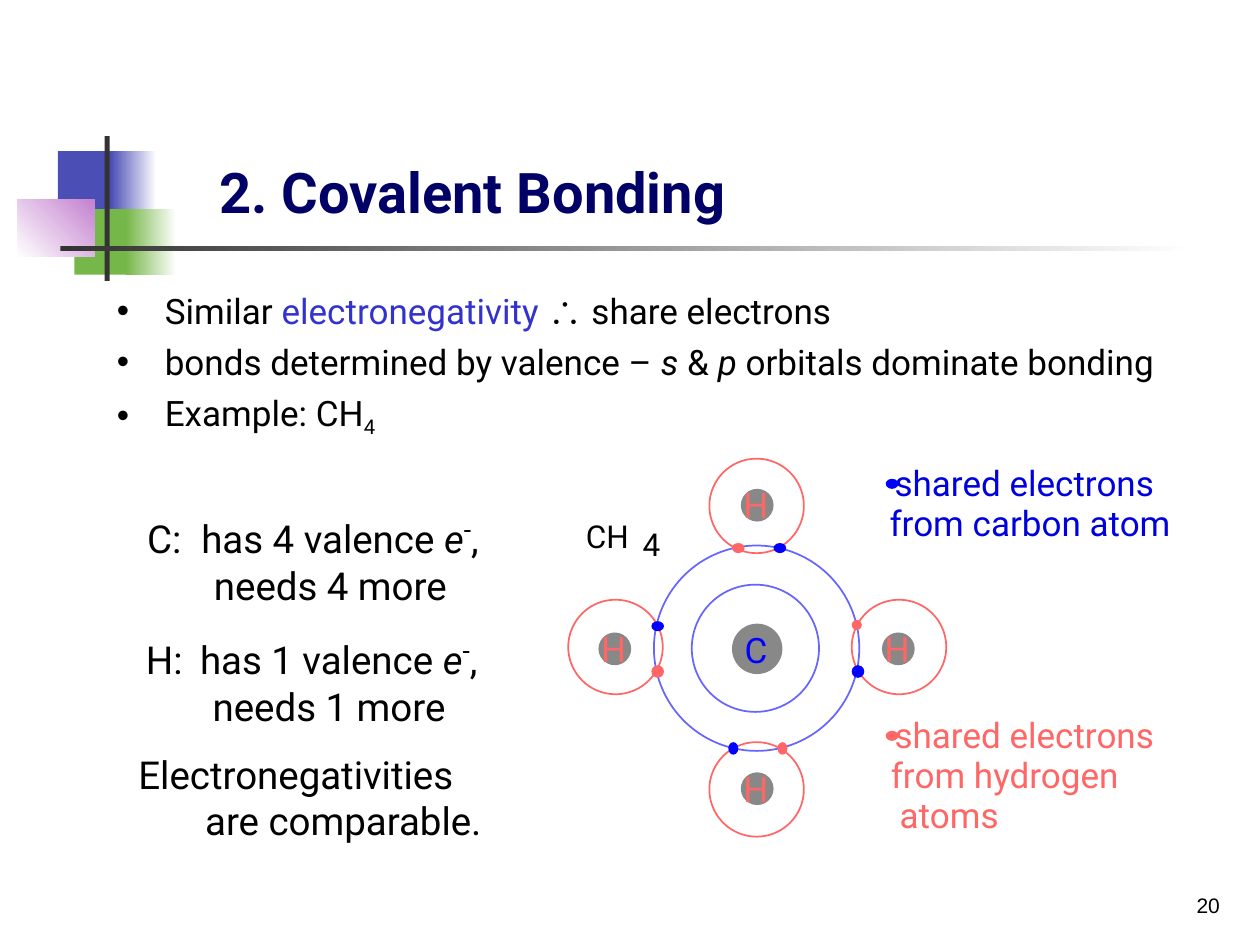
import dataclasses

import pptx
import pptx.dml.color
import pptx.enum.shapes
import pptx.enum.text
import pptx.util
from lxml import etree

EMU_PER_PX = 9144  # 100 px to the inch
DRAWING = "http://schemas.openxmlformats.org/drawingml/2006/main"
ALIGN = pptx.enum.text.PP_ALIGN
ANCHOR = pptx.enum.text.MSO_ANCHOR


def px(length):
    return pptx.util.Emu(length * EMU_PER_PX)


def rgb(color):
    return pptx.dml.color.RGBColor.from_string(color)


def add_xml(parent, tag, **attributes):
    return etree.SubElement(parent, f"{{{DRAWING}}}{tag}", attributes)


@dataclasses.dataclass(frozen=True)
class Theme:
    font: str = "Roboto"
    plain_font: str = "Arial"
    ink: str = "000000"
    white: str = "FFFFFF"
    title: str = "000066"
    term: str = "3333CC"
    bar: str = "333333"
    indigo: str = "4B4EB5"
    green: str = "76B749"
    violet: str = "C481CF"
    nucleus: str = "888888"
    carbon: str = "0000FF"
    carbon_ring: str = "6666FF"
    carbon_label: str = "0000DD"
    hydrogen: str = "FF6666"
    title_size: int = 32
    charge_size: int = 26
    note_size: int = 22
    body_size: int = 20
    formula_size: int = 18
    number_size: int = 12


class SlideBuilder:
    def __init__(self, slide, theme):
        self.slide = slide
        self.theme = theme

    def shape(self, kind, left, top, width, height, fill=None, line=None):
        shape = self.slide.shapes.add_shape(kind, px(left), px(top), px(width), px(height))
        shape.shadow.inherit = False
        if fill:
            shape.fill.solid()
            shape.fill.fore_color.rgb = rgb(fill)
        else:
            shape.fill.background()
        if line:
            shape.line.color.rgb = rgb(line)
            shape.line.width = pptx.util.Pt(1)
        else:
            shape.line.fill.background()
        return shape

    def rectangle(self, *box, fill):
        return self.shape(pptx.enum.shapes.MSO_SHAPE.RECTANGLE, *box, fill=fill)

    def fade(self, *box, start, end, angle=0):
        """Rectangle with a two-colour gradient, angle counter-clockwise."""
        fill = self.rectangle(*box, fill=start).fill
        fill.gradient()
        fill.gradient_angle = angle
        for stop, color in zip(fill.gradient_stops, (start, end)):
            stop.color.rgb = rgb(color)

    def oval(self, *box, fill=None, line=None):
        self.shape(pptx.enum.shapes.MSO_SHAPE.OVAL, *box, fill=fill, line=line)

    def text_frame(self, left, top, width, height, anchor=ANCHOR.TOP):
        box = self.slide.shapes.add_textbox(px(left), px(top), px(width), px(height))
        frame = box.text_frame
        frame.word_wrap = True
        frame.vertical_anchor = anchor
        return frame

    def run(self, paragraph, text, size, color=None, font=None,
            bold=False, italic=False, baseline=0):
        run = paragraph.add_run()
        run.text = text
        run.font.name = font or self.theme.font
        run.font.size = pptx.util.Pt(size)
        run.font.color.rgb = rgb(color or self.theme.ink)
        run.font.bold = bold
        run.font.italic = italic
        if baseline:
            run.font._element.set("baseline", str(baseline * 1000))

    def label(self, text, left, top, width, height, size, color=None):
        """One line of text in a box without margins."""
        frame = self.text_frame(left, top, width, height)
        frame.word_wrap = False
        frame.auto_size = pptx.enum.text.MSO_AUTO_SIZE.SHAPE_TO_FIT_TEXT
        frame.margin_left = frame.margin_right = 0
        frame.margin_top = frame.margin_bottom = 0
        self.run(frame.paragraphs[0], text, size, color)

    def bullets(self, box, items):
        frame = self.text_frame(*box)
        for index, runs in enumerate(items):
            paragraph = frame.add_paragraph() if index else frame.paragraphs[0]
            if index:
                paragraph.space_before = pptx.util.Pt(5)
            properties = paragraph._p.get_or_add_pPr()
            properties.set("marL", str(px(38)))
            properties.set("indent", str(px(-38)))
            add_xml(add_xml(properties, "buClr"), "srgbClr", val=self.theme.ink)
            add_xml(properties, "buFont", typeface=self.theme.plain_font)
            add_xml(properties, "buChar", char="•")
            for text, style in runs:
                self.run(paragraph, text, self.theme.body_size, **style)

    def note(self, box, runs, second_line):
        """Two lines, the second one indented."""
        frame = self.text_frame(*box)
        first, second = frame.paragraphs[0], frame.add_paragraph()
        tabs = add_xml(first._p.get_or_add_pPr(), "tabLst")
        add_xml(tabs, "tab", pos=str(px(43)), algn="l")
        for text, style in runs:
            self.run(first, text, **{"size": self.theme.note_size, **style})
        second._p.get_or_add_pPr().set("marL", str(px(53)))
        self.run(second, second_line, self.theme.note_size)


def add_decoration(builder):
    theme = builder.theme
    builder.rectangle(46, 120, 48, 52, fill=theme.indigo)
    builder.fade(88, 120, 36, 52, start=theme.indigo, end=theme.white)
    builder.rectangle(59, 166, 46, 52, fill=theme.green)
    builder.fade(100, 166, 40, 52, start=theme.green, end=theme.white)
    builder.fade(14, 158, 61, 46, start=theme.white, end=theme.violet, angle=45)
    builder.rectangle(83, 108, 4, 115, fill=theme.bar)
    builder.fade(48, 195, 900, 4, start=theme.bar, end=theme.white)


def add_text(builder):
    theme = builder.theme
    number = builder.text_frame(770, 683, 208, 50, ANCHOR.BOTTOM).paragraphs[0]
    number.alignment = ALIGN.RIGHT
    builder.run(number, "20", theme.number_size, font=theme.plain_font)

    title = builder.text_frame(164, 23, 852, 160, ANCHOR.BOTTOM).paragraphs[0]
    builder.run(title, "2. Covalent Bonding", theme.title_size, theme.title, bold=True)

    italic = {"italic": True}
    builder.bullets((83, 225, 850, 157), [
        [("Similar ", {}), ("electronegativity ", {"color": theme.term}),
         ("∴", {"font": theme.plain_font}), (" share electrons", {})],
        [("bonds determined by valence – ", {}), ("s", italic), (" & ", {}),
         ("p", italic), (" orbitals dominate bonding", {})],
        [("Example: CH", {}), ("4", {"baseline": -25})],
    ])

    charge = {"size": theme.charge_size, "baseline": 30}
    for element, count, box in (("C", 4, (107, 398, 293, 90)), ("H", 1, (106, 494, 297, 90))):
        runs = [(f"{element}:\thas {count} valence ", {}), ("e", italic), ("-", charge), (",", {})]
        builder.note(box, runs, f"needs {count} more")
    builder.note((100, 591, 309, 84), [("Electronegativities", {})], "are comparable.")


def add_legend(builder, top, color, text_color, lines):
    for index, (text, left, width) in enumerate(lines):
        builder.label(text, left, top + 32 * index, width, 33, builder.theme.body_size, text_color)
    builder.oval(703, top + 14, 10, 8, fill=color)


def add_molecule(builder):
    theme = builder.theme
    builder.oval(581, 495, 40, 40, fill=theme.nucleus)
    for left, top, diameter in ((549, 464, 101), (519, 433, 163)):
        builder.oval(left, top, diameter, diameter, line=theme.carbon_ring)

    hydrogens = (((588, 388), (563, 364)), ((588, 613), (563, 589)),
                 ((700, 502), (676, 476)), ((475, 502), (451, 476)))
    for nucleus, ring in hydrogens:
        builder.oval(*nucleus, 26, 26, fill=theme.nucleus)
        builder.oval(*ring, 75, 75, line=theme.hydrogen)

    electrons = {
        theme.carbon: ((578, 589, 8, 10), (676, 528, 10, 10), (614, 431, 10, 8), (517, 493, 10, 8)),
        theme.hydrogen: ((617, 589, 8, 10), (676, 492, 8, 8), (581, 431, 10, 8), (517, 528, 10, 10)),
    }
    for color, boxes in electrons.items():
        for box in boxes:
            builder.oval(*box, fill=color)

    for (left, top), _ in hydrogens:
        builder.label("H", left + 2, top - 4, 21, 33, theme.body_size, theme.hydrogen)
    builder.label("C", 591, 499, 18, 33, theme.body_size, theme.carbon)
    builder.label("CH", 465, 410, 36, 30, theme.formula_size)
    builder.label("4", 510, 417, 14, 30, theme.formula_size)


def main():
    presentation = pptx.Presentation()
    presentation.slide_width, presentation.slide_height = px(1000), px(750)
    slide = presentation.slides.add_slide(presentation.slide_layouts[6])
    theme = Theme()
    builder = SlideBuilder(slide, theme)
    add_decoration(builder)
    add_text(builder)
    add_molecule(builder)
    shared = ("shared electrons", 710, 226)
    add_legend(builder, 366, theme.carbon, theme.carbon_label,
               [shared, ("from carbon atom", 706, 239)])
    add_legend(builder, 566, theme.hydrogen, theme.hydrogen,
               [shared, ("from hydrogen", 707, 205), ("atoms", 714, 82)])
    presentation.save("out.pptx")


if __name__ == "__main__":
    main()
